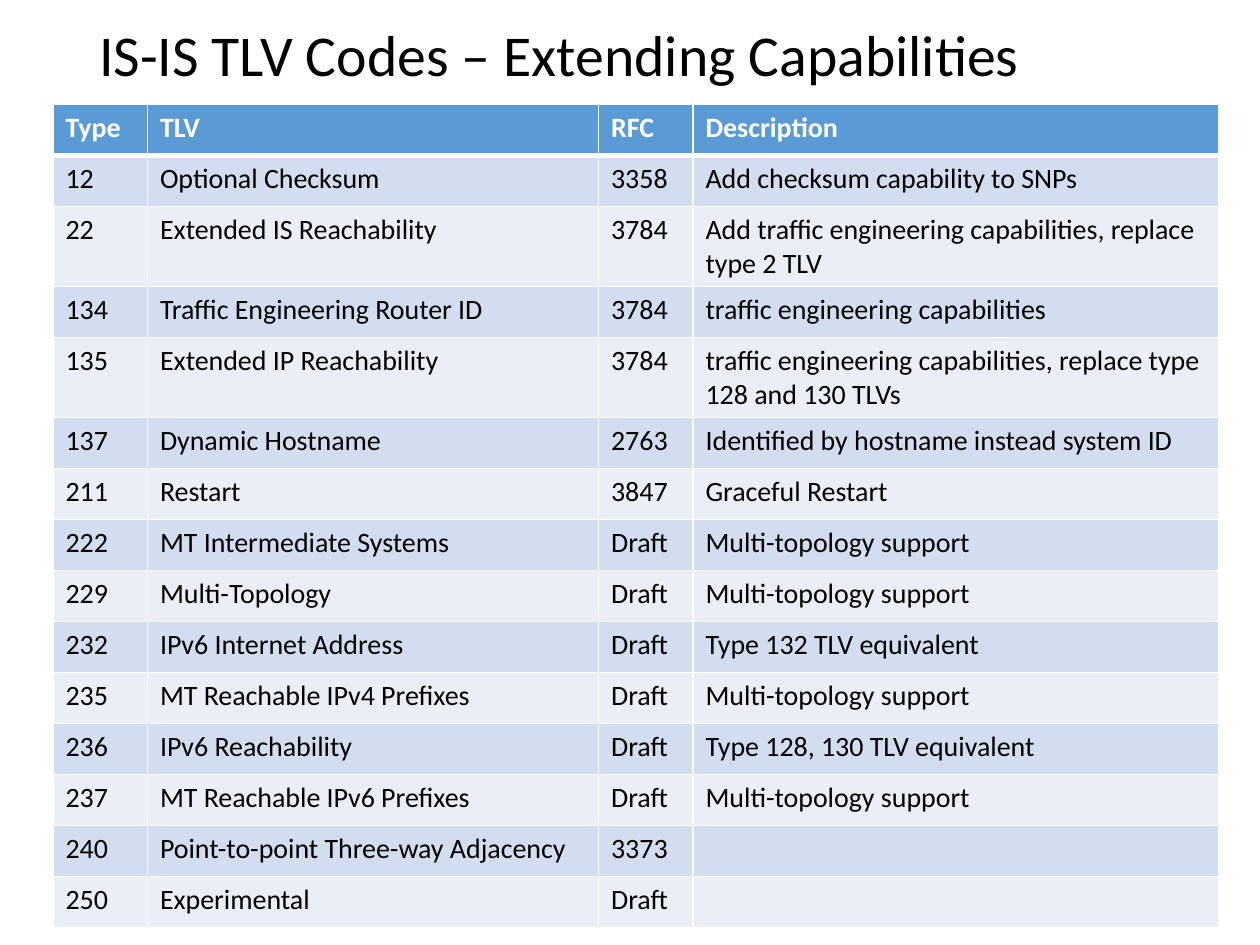
from lxml.etree import SubElement
from pptx import Presentation
from pptx.dml.color import RGBColor
from pptx.enum.text import MSO_ANCHOR
from pptx.oxml.ns import qn
from pptx.util import Inches, Pt

BLACK = RGBColor(0x00, 0x00, 0x00)
WHITE = RGBColor(0xFF, 0xFF, 0xFF)
HEADER_BLUE = RGBColor(0x5B, 0x9B, 0xD5)
BAND_COLORS = (RGBColor(0xD2, 0xDE, 0xEF), RGBColor(0xEA, 0xEF, 0xF7))

COLUMN_WIDTHS = (0.75, 3.58, 0.75, 4.17)
HEADER = ("Type", "TLV", "RFC", "Description")
TLV_CODES = (
    ("12", "Optional Checksum", "3358", "Add checksum capability to SNPs"),
    ("22", "Extended IS Reachability", "3784",
     "Add traffic engineering capabilities, replace type 2 TLV"),
    ("134", "Traffic Engineering Router ID", "3784", "traffic engineering capabilities"),
    ("135", "Extended IP Reachability", "3784",
     "traffic engineering capabilities, replace type 128 and 130 TLVs"),
    ("137", "Dynamic Hostname", "2763", "Identified by hostname instead system ID"),
    ("211", "Restart", "3847", "Graceful Restart"),
    ("222", "MT Intermediate Systems", "Draft", "Multi-topology support"),
    ("229", "Multi-Topology", "Draft", "Multi-topology support"),
    ("232", "IPv6 Internet Address", "Draft", "Type 132 TLV equivalent"),
    ("235", "MT Reachable IPv4 Prefixes", "Draft", "Multi-topology support"),
    ("236", "IPv6 Reachability", "Draft", "Type 128, 130 TLV equivalent"),
    ("237", "MT Reachable IPv6 Prefixes", "Draft", "Multi-topology support"),
    ("240", "Point-to-point Three-way Adjacency", "3373", ""),
    ("250", "Experimental", "Draft", ""),
)


class SlideBuilder:
    font_name = "Calibri"
    title_size = 33
    table_size = 16
    border_width = 1
    header_rule_width = 3

    def __init__(self, slide):
        self.slide = slide

    def set_text(self, frame, text, size, color, bold=False):
        para = frame.paragraphs[0]
        if text:
            para.text = text
        para.font.name = self.font_name
        para.font.size = Pt(size)
        para.font.bold = bold
        para.font.color.rgb = color
        return para

    def title(self, text, left, top, width, height):
        box = self.slide.shapes.add_textbox(
            Inches(left), Inches(top), Inches(width), Inches(height))
        frame = box.text_frame
        frame.word_wrap = True
        frame.vertical_anchor = MSO_ANCHOR.MIDDLE
        self.set_text(frame, text, self.title_size, BLACK).line_spacing = 0.9

    def border(self, cell, side, width):
        """Draw a white line on one side (L, R, T or B); call before filling the cell."""
        line = SubElement(cell._tc.get_or_add_tcPr(), qn(f"a:ln{side}"), w=str(Pt(width)))
        fill = SubElement(line, qn("a:solidFill"))
        SubElement(fill, qn("a:srgbClr"), val=str(WHITE))

    def cell(self, cell, text, row):
        is_header = row == 0
        rule_side = {0: "B", 1: "T"}.get(row)
        for side in "LRTB":
            width = self.header_rule_width if side == rule_side else self.border_width
            self.border(cell, side, width)
        cell.fill.solid()
        cell.fill.fore_color.rgb = HEADER_BLUE if is_header else BAND_COLORS[(row - 1) % 2]
        self.set_text(cell.text_frame, text, self.table_size,
                      WHITE if is_header else BLACK, is_header)

    def table(self, rows, column_widths, left, top, height):
        table = self.slide.shapes.add_table(
            len(rows), len(column_widths), Inches(left), Inches(top),
            Inches(sum(column_widths)), Inches(height)).table
        for column, width in zip(table.columns, column_widths):
            column.width = Inches(width)
        for row, texts in enumerate(rows):
            for column, text in enumerate(texts):
                self.cell(table.cell(row, column), text, row)


def main():
    deck = Presentation()
    deck.slide_width, deck.slide_height = Inches(10), Inches(7.5)
    page = SlideBuilder(deck.slides.add_slide(deck.slide_layouts[6]))
    page.title("IS-IS TLV Codes – Extending Capabilities", 0.69, 0.08, 8.62, 0.75)
    page.table((HEADER, *TLV_CODES), COLUMN_WIDTHS, left=0.42, top=0.83, height=6.08)
    deck.save("out.pptx")


if __name__ == "__main__":
    main()
